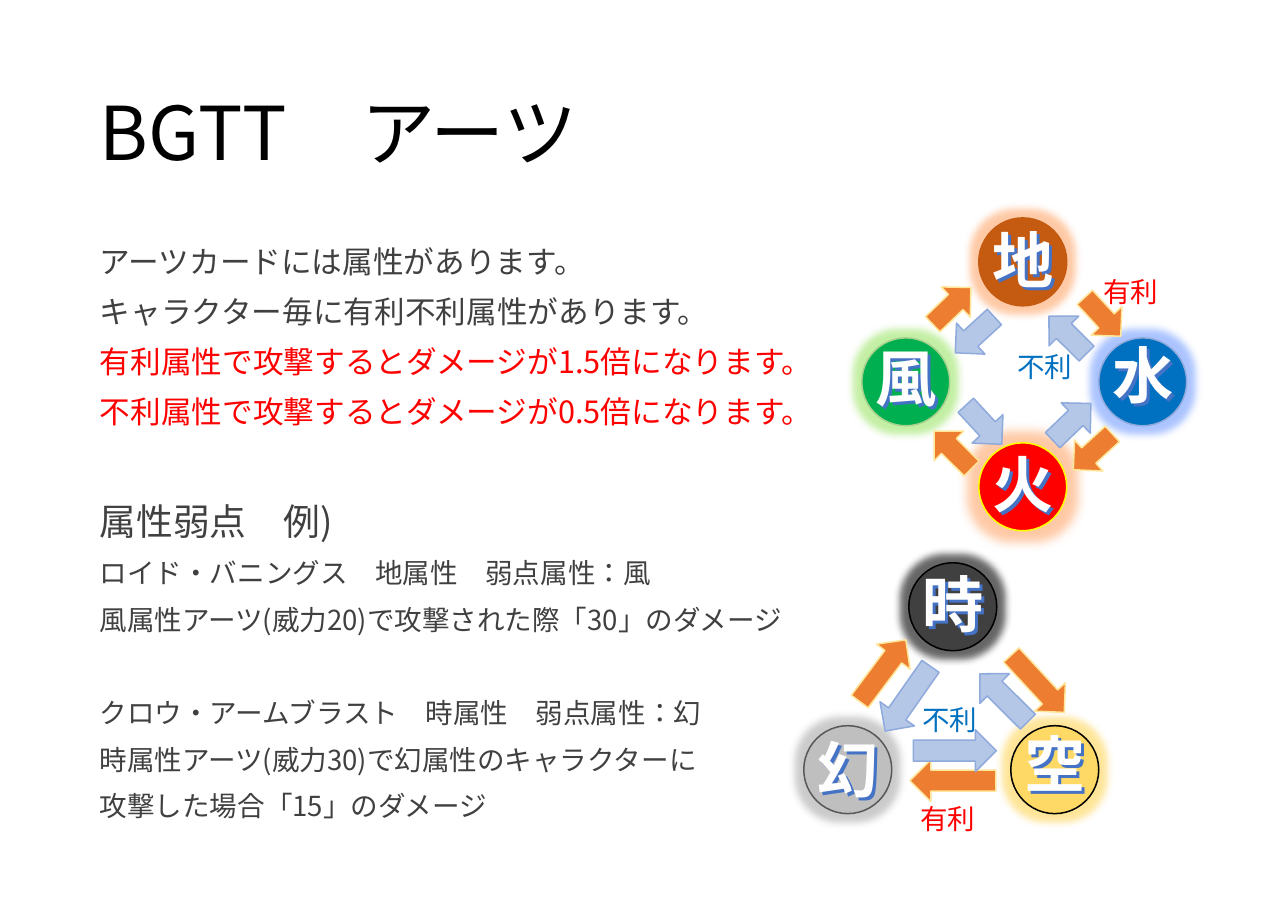
from dataclasses import dataclass

from lxml import etree
from pptx import Presentation
from pptx.dml.color import RGBColor
from pptx.enum.lang import MSO_LANGUAGE_ID
from pptx.enum.shapes import MSO_SHAPE
from pptx.enum.text import MSO_ANCHOR, PP_ALIGN
from pptx.oxml.ns import qn
from pptx.util import Inches, Pt

OVAL, ARROW = MSO_SHAPE.OVAL, MSO_SHAPE.RIGHT_ARROW
TOP, MIDDLE = MSO_ANCHOR.TOP, MSO_ANCHOR.MIDDLE
LEFT, CENTER = PP_ALIGN.LEFT, PP_ALIGN.CENTER
JAPANESE = MSO_LANGUAGE_ID.JAPANESE

EMU_PER_PIXEL = Inches(1) / 110.2
FONT = "Noto Sans CJK JP"
MEDALLION_SIZE, GLYPH_BOX, ARROW_HEIGHT, SHORT_ARROW = 88, 90, 42, 53
COLORS = {
    "black": "000000", "white": "FEFEFE", "text": "404040",
    "red": "FF0000", "blue": "0070C0", "brown": "C55A11",
    "green": "00B050", "pale green": "A9D18E", "yellow": "FFFF00",
    "gold": "FFD966", "silver": "BFBFBF", "gray": "595959",
    "orange": "ED7D31", "cream": "FFE699",
    "pale blue": "B4C7E7", "soft blue": "8FAADC", "glyph shadow": "4472C4",
    "orange glow": "FF7A20", "blue glow": "2E6BFF", "green glow": "6BD81C",
    "gold glow": "FFC000", "gray glow": "7F7F7F",
}


@dataclass
class Line:
    text: str
    size: float
    color: str = "text"
    space_before: float = 11


@dataclass
class Element:
    glyph: str
    x: int
    y: int
    fill: str
    outline: str
    glow: str
    glyph_rise: int
    glow_radius: int = 10
    glow_alpha: int = 40


@dataclass
class Arrow:
    x: int
    y: int
    rotation: float
    favorable: bool
    length: int = SHORT_ARROW


@dataclass
class Label:
    x: int
    y: int
    favorable: bool


TITLE = [Line("BGTT\u3000アーツ", 48.5, "black")]
BODY = [
    Line("アーツカードには属性があります。", 20),
    Line("キャラクター毎に有利不利属性があります。", 20),
    Line("有利属性で攻撃するとダメージが1.5倍になります。", 20, "red"),
    Line("不利属性で攻撃するとダメージが0.5倍になります。", 20, "red"),
    Line("属性弱点\u3000例)", 24, space_before=48),
    Line("ロイド・バニングス\u3000地属性\u3000弱点属性：風", 18),
    Line("風属性アーツ(威力20)で攻撃された際「30」のダメージ", 18),
    Line("クロウ・アームブラスト\u3000時属性\u3000弱点属性：幻", 18, space_before=41.5),
    Line("時属性アーツ(威力30)で幻属性のキャラクターに", 18),
    Line("攻撃した場合「15」のダメージ", 18),
]
ELEMENTS = [
    Element("地", 1023, 262, "brown", "brown", "orange glow", 3),
    Element("水", 1143, 382, "blue", "soft blue", "blue glow", 8),
    Element("火", 1023, 487, "red", "yellow", "orange glow", 4, 14),
    Element("風", 906, 382, "green", "pale green", "green glow", 5),
    Element("時", 953, 607, "text", "black", "black", 4, 10, 60),
    Element("空", 1055, 770, "gold", "black", "gold glow", 7),
    Element("幻", 848, 770, "silver", "gray", "gray glow", 2),
]
ARROWS = [
    # Cycle of four
    Arrow(1068, 335, 224.9, False), Arrow(953, 450, 224.9, True),
    Arrow(984, 425, 47.3, False), Arrow(1103, 317, 47.3, True),
    Arrow(1072, 422, 316.2, False), Arrow(952, 306, 316.2, True),
    Arrow(975, 335, 137.5, False), Arrow(1093, 452, 137.5, True),
    # Cycle of three
    Arrow(1004, 698, 224.9, False, 68), Arrow(953, 781, 180, True, 86),
    Arrow(955, 751, 0, False, 83), Arrow(1038, 684, 47.3, True, 78),
    Arrow(883, 671, 306.8, True, 77), Arrow(908, 699, 125, False, 79),
]
LABELS = [Label(1131, 292, True), Label(1045, 367, False),
          Label(948, 819, True), Label(950, 720, False)]


def px(pixels: float) -> int:
    return round(pixels * EMU_PER_PIXEL)


def rgb(name: str) -> RGBColor:
    return RGBColor.from_string(COLORS[name])


def add_effect(shape, tag: str, color: str, alpha: int, **attributes: str) -> None:
    properties = shape._element.spPr
    effects = properties.find(qn("a:effectLst"))
    if effects is None:
        effects = etree.SubElement(properties, qn("a:effectLst"))
    effect = etree.SubElement(effects, qn(tag), attributes)
    tint = etree.SubElement(effect, qn("a:srgbClr"), val=COLORS[color])
    etree.SubElement(tint, qn("a:alpha"), val=str(alpha * 1000))


def add_run(paragraph, text: str, size: float, color: str, bold: bool = False):
    run = paragraph.add_run()
    run.text = text
    run.font.size = Pt(size)
    run.font.color.rgb = rgb(color)
    run.font.bold = bold
    run.font.language_id = JAPANESE
    run.font.name = FONT
    etree.SubElement(run._r.get_or_add_rPr(), qn("a:ea"), typeface=FONT)
    return run


def add_text_block(slide, top: int, height: int, lines: list[Line], anchor) -> None:
    shape = slide.shapes.add_textbox(px(89), px(top), px(1111), px(height))
    frame = shape.text_frame
    frame.word_wrap = True
    frame.vertical_anchor = anchor
    for index, line in enumerate(lines):
        paragraph = frame.add_paragraph() if index else frame.paragraphs[0]
        paragraph.alignment = LEFT
        paragraph.line_spacing = 0.9
        paragraph.space_before = Pt(line.space_before if index else 0)
        add_run(paragraph, line.text, line.size, line.color)


def add_centered_text(slide, x: int, y: int, width: int, height: int,
                      text: str, size: float, color: str, glyph: bool = False) -> None:
    shape = slide.shapes.add_textbox(px(x - width / 2), px(y - height / 2),
                                     px(width), px(height))
    frame = shape.text_frame
    frame.word_wrap = False
    frame.vertical_anchor = MIDDLE
    frame.margin_left = frame.margin_right = frame.margin_top = frame.margin_bottom = 0
    frame.paragraphs[0].alignment = CENTER
    run = add_run(frame.paragraphs[0], text, size, color, glyph)
    if glyph:
        run._r.get_or_add_rPr().set("spc", "50")
        add_effect(shape, "a:outerShdw", "glyph shadow", 100,
                   dist=str(Pt(3)), dir="2700000")


def add_centered_shape(slide, kind, x: int, y: int, width: int, height: int,
                       fill: str, outline: str):
    shape = slide.shapes.add_shape(kind, px(x - width / 2), px(y - height / 2),
                                   px(width), px(height))
    shape.shadow.inherit = False
    shape.fill.solid()
    shape.fill.fore_color.rgb = rgb(fill)
    shape.line.color.rgb = rgb(outline)
    shape.line.width = Pt(1)
    return shape


def add_element(slide, element: Element) -> None:
    shape = add_centered_shape(slide, OVAL, element.x, element.y, MEDALLION_SIZE,
                               MEDALLION_SIZE, element.fill, element.outline)
    add_effect(shape, "a:glow", element.glow, element.glow_alpha,
               rad=str(Pt(element.glow_radius)))


def add_arrow(slide, arrow: Arrow) -> None:
    fill, outline = ("orange", "cream") if arrow.favorable else ("pale blue", "soft blue")
    shape = add_centered_shape(slide, ARROW, arrow.x, arrow.y, arrow.length,
                               ARROW_HEIGHT, fill, outline)
    shape.rotation = arrow.rotation


presentation = Presentation()
presentation.slide_width, presentation.slide_height = Inches(11.69), Inches(8.27)
slide = presentation.slides.add_slide(presentation.slide_layouts[6])

# Title and rules
add_text_block(slide, 242, 653, BODY, TOP)
add_text_block(slide, 49, 176, TITLE, MIDDLE)

# Element cycles
for element in ELEMENTS:
    add_element(slide, element)
for arrow in ARROWS:
    add_arrow(slide, arrow)

# Labels and element glyphs
for label in LABELS:
    text, color = ("有利", "red") if label.favorable else ("不利", "blue")
    add_centered_text(slide, label.x, label.y, 78, 44, text, 18, color)
for element in ELEMENTS:
    add_centered_text(slide, element.x, element.y - element.glyph_rise,
                      GLYPH_BOX, GLYPH_BOX, element.glyph, 40, "white", glyph=True)

presentation.save("out.pptx")
